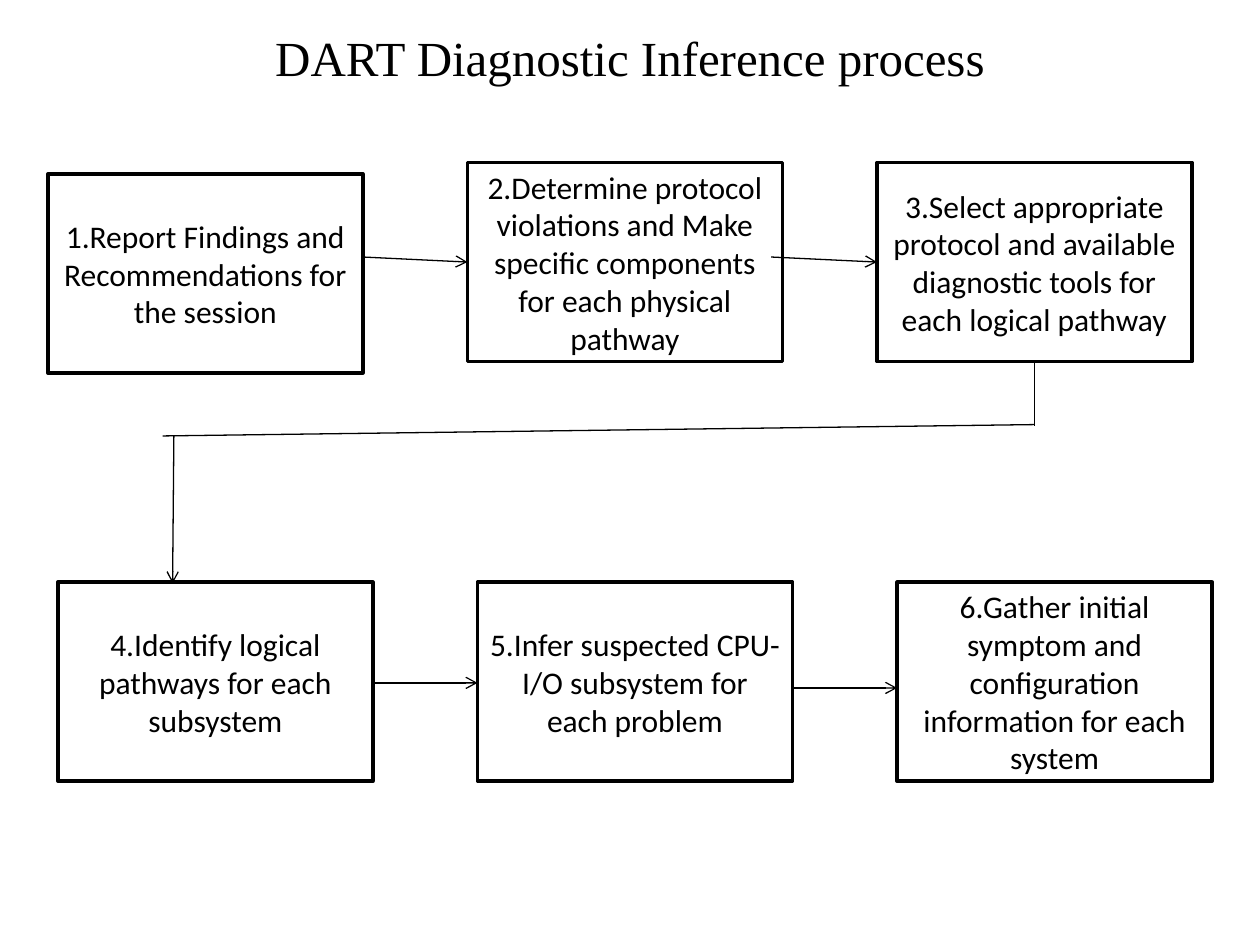
from lxml import etree
from pptx import Presentation
from pptx.dml.color import RGBColor
from pptx.enum.shapes import MSO_CONNECTOR, MSO_SHAPE
from pptx.enum.text import MSO_ANCHOR, PP_ALIGN
from pptx.oxml.ns import qn
from pptx.util import Inches, Pt

RECTANGLE = MSO_SHAPE.RECTANGLE
STRAIGHT = MSO_CONNECTOR.STRAIGHT
TOP, MIDDLE = MSO_ANCHOR.TOP, MSO_ANCHOR.MIDDLE
CENTER = PP_ALIGN.CENTER

COLORS = {"ink": "000000", "paper": "FFFFFF"}
STEP_WIDTH, STEP_HEIGHT = 2.5, 1.58

# Left, top and wording of each step
STEPS = [
    (0.38, 1.38, "1.Report Findings and Recommendations for the session"),
    (3.71, 1.29, "2.Determine protocol violations and Make specific "
                 "components for each physical pathway"),
    (6.96, 1.29, "3.Select appropriate protocol and available diagnostic "
                 "tools for each logical pathway"),
    (0.46, 4.62, "4.Identify logical pathways for each subsystem"),
    (3.79, 4.62, "5.Infer suspected CPU-I/O subsystem for each problem"),
    (7.12, 4.62, "6.Gather initial symptom and configuration information "
                 "for each system"),
]

# Start, end and whether the line ends in an arrowhead
LINKS = [
    ((2.88, 2.04), (3.71, 2.08), True),
    ((6.12, 2.04), (6.96, 2.08), True),
    ((2.96, 5.42), (3.79, 5.42), True),
    ((6.29, 5.46), (7.12, 5.46), True),
    ((8.21, 2.88), (8.21, 3.38), False),
    ((8.21, 3.37), (1.29, 3.46), False),
    ((1.38, 3.46), (1.37, 4.63), True),
]


def color(name):
    return RGBColor.from_string(COLORS[name])


def write_text(box, text, font, size, anchor):
    frame = box.text_frame
    frame.word_wrap = True
    frame.vertical_anchor = anchor
    frame.text = text
    para = frame.paragraphs[0]
    para.alignment = CENTER
    for span in para.runs:
        span.font.name = font
        span.font.size = Pt(size)
        span.font.color.rgb = color("ink")


def add_title(page, text):
    box = page.shapes.add_textbox(Inches(0.5), Inches(0.17), Inches(9), Inches(1))
    write_text(box, text, "Times New Roman", 28, TOP)


def add_step(page, left, top, text):
    box = page.shapes.add_shape(RECTANGLE, Inches(left), Inches(top),
                                Inches(STEP_WIDTH), Inches(STEP_HEIGHT))
    box.shadow.inherit = False
    box.fill.solid()
    box.fill.fore_color.rgb = color("paper")
    box.line.color.rgb = color("ink")
    box.line.width = Pt(2)
    write_text(box, text, "Calibri", 18, MIDDLE)


def add_link(page, start, end, has_arrow):
    points = [Inches(value) for value in start + end]
    link = page.shapes.add_connector(STRAIGHT, *points)
    link.line.color.rgb = color("ink")
    link.line.width = Pt(0.75)
    properties = link.line.color and link._element.spPr
    if has_arrow:
        outline = properties.find(qn("a:ln"))
        etree.SubElement(outline, qn("a:tailEnd"), type="arrow")
    etree.SubElement(properties, qn("a:effectLst"))


def main():
    deck = Presentation()
    deck.slide_width, deck.slide_height = Inches(10), Inches(7.5)
    page = deck.slides.add_slide(deck.slide_layouts[6])

    # Heading
    add_title(page, "DART Diagnostic Inference process")

    # Process steps
    for left, top, text in STEPS:
        add_step(page, left, top, text)

    # Flow between the steps
    for start, end, has_arrow in LINKS:
        add_link(page, start, end, has_arrow)

    deck.save("out.pptx")


main()
